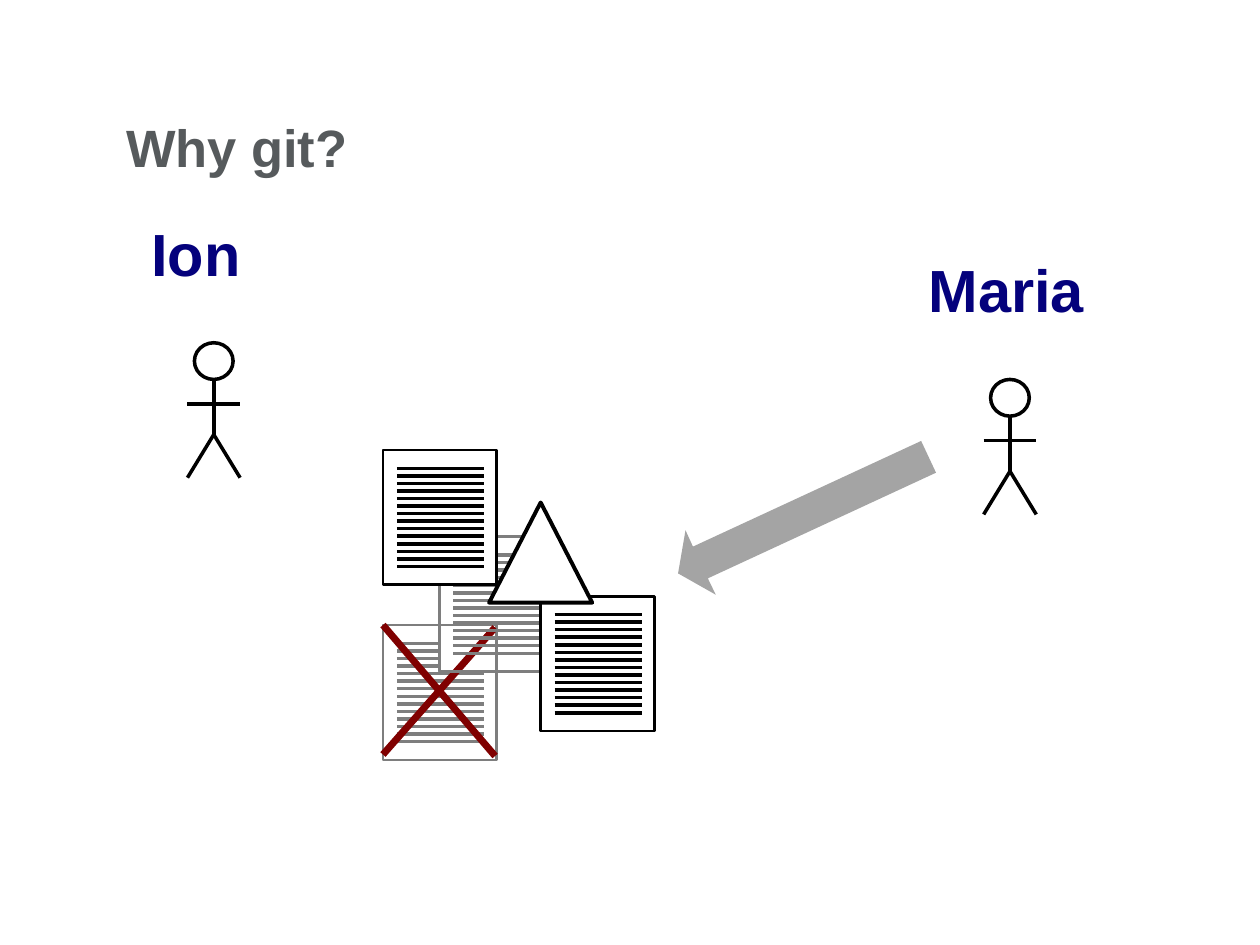
from dataclasses import dataclass

from lxml import etree
from pptx import Presentation
from pptx import util as u
from pptx.dml.color import RGBColor
from pptx.enum import shapes as kinds, text as txt
from pptx.oxml.ns import qn

BLACK = RGBColor(0x00, 0x00, 0x00)
WHITE = RGBColor(0xFF, 0xFF, 0xFF)
GREY = RGBColor(0x7E, 0x7E, 0x7E)
ARROW_GREY = RGBColor(0xA4, 0xA4, 0xA4)
RED = RGBColor(0x80, 0x00, 0x00)
NAVY = RGBColor(0x04, 0x01, 0x7C)
TITLE_GREY = RGBColor(0x56, 0x5A, 0x5C)

# Sheet geometry in centimetres
SHEET_WIDTH, SHEET_HEIGHT = 2.29, 2.72
ROWS, SHORT_ROWS = 14, 4
ROW_TOP, ROW_SPAN = 0.37, 1.98
ROW_LEFT, ROW_RIGHT = 0.28, 2.04
SHEET_MIDDLE = 1.14


@dataclass
class Sheet:
    left: float
    top: float
    color: RGBColor
    filled: bool = False
    short_left: float = ROW_LEFT
    short_right: float = ROW_RIGHT


@dataclass
class Person:
    name: str
    center: float
    head_top: float
    label_left: float
    label_top: float
    label_width: float


CROSSED = Sheet(7.72, 12.6, GREY, short_right=SHEET_MIDDLE)
MIDDLE = Sheet(8.86, 10.82, GREY, short_left=SHEET_MIDDLE)
RIGHT = Sheet(10.9, 12.02, BLACK, filled=True)
FRONT = Sheet(7.72, 9.07, BLACK, filled=True)
PEOPLE = [
    Person("Ion", 4.31, 6.91, 3.05, 4.37, 2.41),
    Person("Maria", 20.36, 7.65, 18.72, 5.1, 3.99),
]
ARROW = [(13.82, 10.69), (13.67, 11.56), (14.43, 11.99), (14.27, 11.66),
         (18.87, 9.53), (18.57, 8.89), (13.97, 11.02)]


def draw_line(page, x1: float, y1: float, x2: float, y2: float,
              color: RGBColor, points: float) -> None:
    line = page.shapes.add_connector(
        kinds.MSO_CONNECTOR.STRAIGHT, u.Cm(x1), u.Cm(y1), u.Cm(x2), u.Cm(y2))
    line.line.color.rgb = color
    line.line.width = u.Pt(points)
    etree.SubElement(line._element.spPr, qn("a:effectLst"))


def draw_outline(page, kind, left: float, top: float, width: float,
                 height: float, color: RGBColor, points: float,
                 filled: bool) -> None:
    shape = page.shapes.add_shape(
        kind, u.Cm(left), u.Cm(top), u.Cm(width), u.Cm(height))
    shape.shadow.inherit = False
    if filled:
        shape.fill.solid()
        shape.fill.fore_color.rgb = WHITE
    else:
        shape.fill.background()
    shape.line.color.rgb = color
    shape.line.width = u.Pt(points)


def draw_sheet(page, sheet: Sheet) -> None:
    draw_outline(page, kinds.MSO_SHAPE.RECTANGLE, sheet.left, sheet.top,
                 SHEET_WIDTH, SHEET_HEIGHT, sheet.color, 1.5, sheet.filled)
    for row in range(ROWS):
        short = row < SHORT_ROWS
        start = sheet.short_left if short else ROW_LEFT
        end = sheet.short_right if short else ROW_RIGHT
        y = sheet.top + ROW_TOP + row * ROW_SPAN / (ROWS - 1)
        draw_line(page, sheet.left + start, y, sheet.left + end, y,
                  sheet.color, 2)


def draw_cross(page, sheet: Sheet) -> None:
    left, right = sheet.left, sheet.left + 2.26
    top, bottom = sheet.top, sheet.top + 2.64
    draw_line(page, right, top + 0.05, left, bottom - 0.03, RED, 4)
    draw_line(page, left, top, right, bottom, RED, 4)


def write_text(frame, words: str, formats: dict, color: RGBColor) -> None:
    frame.text = words
    para = frame.paragraphs[0]
    para.alignment = txt.PP_ALIGN.LEFT
    span = para.runs[0]
    for name, value in formats.items():
        setattr(span.font, name, value)
    span.font.color.rgb = color


def set_frame(frame, formats: dict) -> None:
    for name, value in formats.items():
        setattr(frame, name, value)


def draw_person(page, person: Person) -> None:
    x, y = person.center, person.head_top
    draw_outline(page, kinds.MSO_SHAPE.OVAL, x - 0.39, y, 0.78, 0.74,
                 BLACK, 2, False)
    limbs = [
        (0, 0.74, 0, 1.85),
        (0, 1.85, 0.53, 2.72),
        (0, 1.85, -0.53, 2.72),
        (-0.53, 1.23, 0.53, 1.23),
    ]
    for x1, y1, x2, y2 in limbs:
        draw_line(page, x + x1, y + y1, x + x2, y + y2, BLACK, 2)
    box = page.shapes.add_textbox(
        u.Cm(person.label_left), u.Cm(person.label_top),
        u.Cm(person.label_width), u.Cm(1.46))
    set_frame(box.text_frame, {
        "word_wrap": True, "margin_left": 0, "margin_top": 0,
        "margin_right": 0, "margin_bottom": 0})
    write_text(box.text_frame, person.name,
               {"name": "Arial", "size": u.Pt(34), "bold": True}, NAVY)


def draw_arrow(page) -> None:
    points = [(u.Cm(x), u.Cm(y)) for x, y in ARROW]
    builder = page.shapes.build_freeform(*points[0])
    builder.add_line_segments(points[1:], close=True)
    arrow = builder.convert_to_shape()
    arrow.shadow.inherit = False
    arrow.fill.solid()
    arrow.fill.fore_color.rgb = ARROW_GREY
    arrow.line.fill.background()


def write_title(page) -> None:
    title = page.shapes.title
    places = {"left": 2.44, "top": 2.13, "width": 4.83, "height": 1.65}
    for name, value in places.items():
        setattr(title, name, u.Cm(value))
    title.fill.solid()
    title.fill.fore_color.rgb = WHITE
    set_frame(title.text_frame, {
        "word_wrap": True, "auto_size": txt.MSO_AUTO_SIZE.NONE,
        "vertical_anchor": txt.MSO_ANCHOR.MIDDLE, "margin_left": u.Cm(0.1),
        "margin_top": 0, "margin_right": 0, "margin_bottom": 0})
    write_text(title.text_frame, "Why git?",
               {"name": "Arial", "size": u.Pt(30), "bold": True}, TITLE_GREY)


def main() -> None:
    deck = Presentation()
    deck.slide_width, deck.slide_height = u.Cm(25.4), u.Cm(19.05)
    page = deck.slides.add_slide(deck.slide_layouts[5])
    write_title(page)

    # People and the arrow from Maria to the files
    for person in PEOPLE:
        draw_person(page, person)
    draw_arrow(page)

    # Files, from back to front
    draw_sheet(page, CROSSED)
    draw_cross(page, CROSSED)
    for sheet in (MIDDLE, RIGHT, FRONT):
        draw_sheet(page, sheet)

    # Triangle on top of the files
    draw_outline(page, kinds.MSO_SHAPE.ISOSCELES_TRIANGLE,
                 9.86, 10.13, 2.08, 2.02, BLACK, 2.25, True)
    deck.save("out.pptx")


if __name__ == "__main__":
    main()
